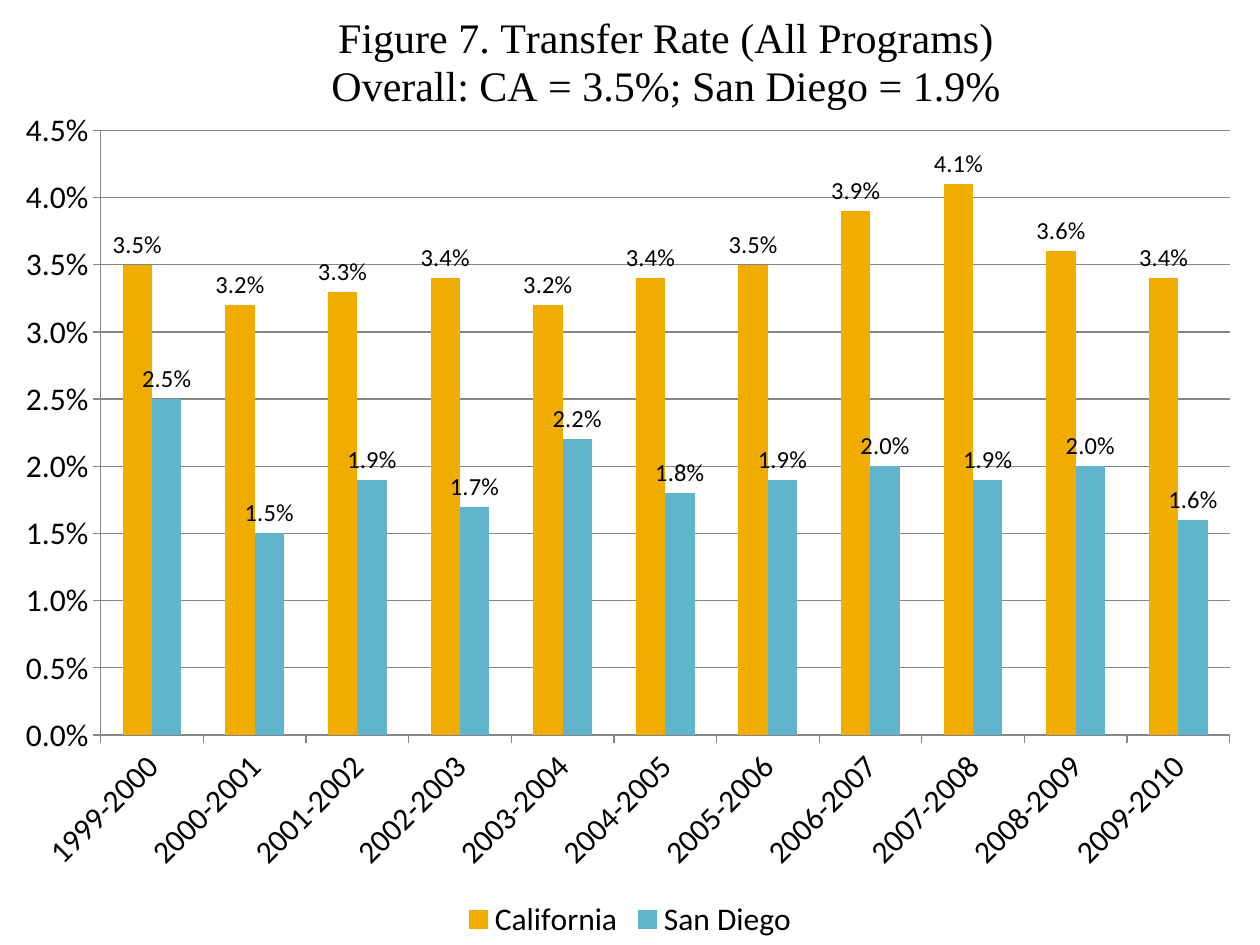
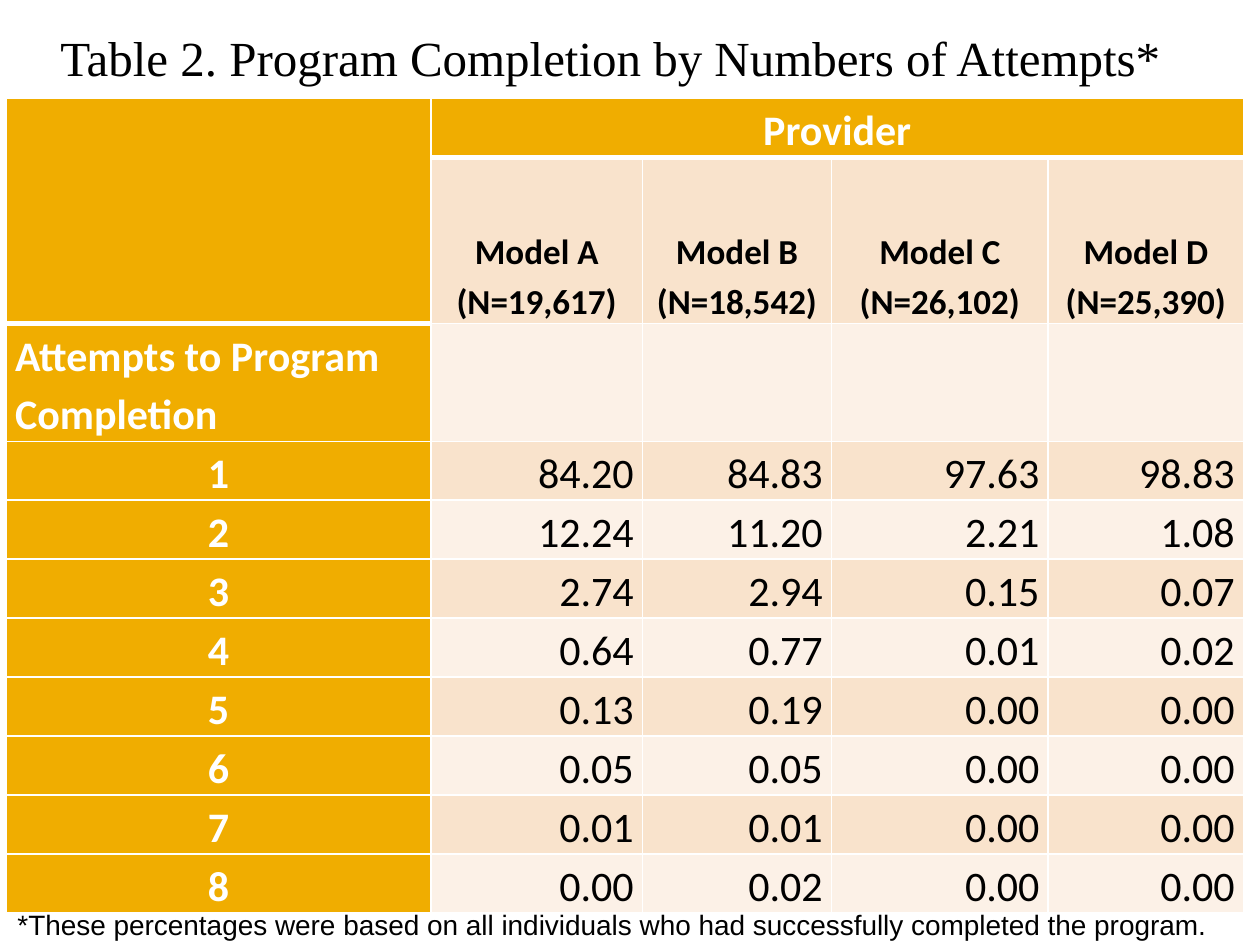
from dataclasses import dataclass

from lxml import etree
from pptx import Presentation
from pptx.chart.data import CategoryChartData
from pptx.dml.color import RGBColor
from pptx.enum.chart import XL_CHART_TYPE, XL_LABEL_POSITION, XL_LEGEND_POSITION, XL_TICK_MARK
from pptx.enum.text import MSO_ANCHOR, MSO_AUTO_SIZE, PP_ALIGN
from pptx.oxml.ns import qn
from pptx.util import Inches, Pt

CLUSTERED = XL_CHART_TYPE.COLUMN_CLUSTERED
OUTSIDE_END = XL_LABEL_POSITION.OUTSIDE_END
LEGEND_BOTTOM = XL_LEGEND_POSITION.BOTTOM
TICK_OUTSIDE = XL_TICK_MARK.OUTSIDE
TOP, MIDDLE, BOTTOM = MSO_ANCHOR.TOP, MSO_ANCHOR.MIDDLE, MSO_ANCHOR.BOTTOM
LEFT, CENTER, RIGHT = PP_ALIGN.LEFT, PP_ALIGN.CENTER, PP_ALIGN.RIGHT
FIT_SHAPE = MSO_AUTO_SIZE.SHAPE_TO_FIT_TEXT


@dataclass(frozen=True)
class Theme:
    gold: str = "F0AD00"
    blue: str = "60B5CC"
    band_dark: str = "F9E3CC"
    band_light: str = "FCF1E7"
    black: str = "000000"
    white: str = "FFFFFF"
    grid: str = "868686"
    title_font: str = "Times New Roman"
    body_font: str = "Calibri"
    note_font: str = "Arial"
    title_size: int = 28
    chart_title_size: int = 24
    table_size: int = 24
    model_size: int = 20
    chart_size: int = 18
    note_size: int = 16
    label_size: int = 14


YEARS = [f"{year}-{year + 1}" for year in range(1999, 2010)]
CALIFORNIA = [0.035, 0.032, 0.033, 0.034, 0.032, 0.034, 0.035, 0.039, 0.041, 0.036, 0.034]
SAN_DIEGO = [0.025, 0.015, 0.019, 0.017, 0.022, 0.018, 0.019, 0.02, 0.019, 0.02, 0.016]

MODELS = ["Model A\n(N=19,617)", "Model B\n(N=18,542)", "Model C\n(N=26,102)", "Model D\n(N=25,390)"]
COMPLETION = [
    ("84.20", "84.83", "97.63", "98.83"),
    ("12.24", "11.20", "2.21", "1.08"),
    ("2.74", "2.94", "0.15", "0.07"),
    ("0.64", "0.77", "0.01", "0.02"),
    ("0.13", "0.19", "0.00", "0.00"),
    ("0.05", "0.05", "0.00", "0.00"),
    ("0.01", "0.01", "0.00", "0.00"),
    ("0.00", "0.02", "0.00", "0.00"),
]
COLUMN_WIDTHS = [3.37, 1.68, 1.5, 1.72, 1.55]
ROW_HEIGHTS = [0.46, 1.32, 0.92] + [0.46] * len(COMPLETION)


def set_font(font, name, size, color, bold=False):
    font.name, font.size, font.bold = name, Pt(size), bold
    font.color.rgb = RGBColor.from_string(color)


def set_layout(parent, index, **settings):
    """Give a chart part a manual layout, in fractions of the chart."""
    for old in parent.findall(qn("c:layout")):
        parent.remove(old)
    layout = etree.Element(qn("c:layout"))
    manual = etree.SubElement(layout, qn("c:manualLayout"))
    for tag, value in settings.items():
        etree.SubElement(manual, qn(f"c:{tag}")).set("val", str(value))
    parent.insert(index, layout)


def set_borders(cell, color, bottom_width):
    properties = cell._tc.get_or_add_tcPr()
    widths = {"lnL": 1, "lnR": 1, "lnT": 1, "lnB": bottom_width}
    for index, (tag, width) in enumerate(widths.items()):
        line = etree.Element(qn(f"a:{tag}"), w=str(Pt(width)))
        fill = etree.SubElement(line, qn("a:solidFill"))
        etree.SubElement(fill, qn("a:srgbClr")).set("val", color)
        properties.insert(index, line)


class Deck:
    def __init__(self, theme):
        self.theme = theme
        self.presentation = Presentation()
        self.presentation.slide_width = Inches(10)
        self.presentation.slide_height = Inches(7.5)
        self.slide = None

    def add_slide(self):
        self.slide = self.presentation.slides.add_slide(self.presentation.slide_layouts[6])

    def add_text(self, text, left, top, width, height, font, size, anchor=TOP, wrap=True):
        box = self.slide.shapes.add_textbox(Inches(left), Inches(top), Inches(width), Inches(height))
        frame = box.text_frame
        frame.text = text
        frame.word_wrap, frame.auto_size, frame.vertical_anchor = wrap, FIT_SHAPE, anchor
        set_font(frame.paragraphs[0].font, font, size, self.theme.black)

    def add_column_chart(self, title, categories, series):
        """Fill the slide with a chart; series holds (name, values, color, label format)."""
        theme = self.theme
        data = CategoryChartData(number_format="0.0%")
        data.categories = categories
        for name, values, _, _ in series:
            data.add_series(name, values)
        chart = self.slide.shapes.add_chart(
            CLUSTERED, 0, 0, self.presentation.slide_width, self.presentation.slide_height, data
        ).chart
        set_font(chart.font, theme.body_font, theme.chart_size, theme.black)

        chart.chart_title.text_frame.text = title
        for paragraph in chart.chart_title.text_frame.paragraphs:
            paragraph.alignment = CENTER
            set_font(paragraph.font, theme.title_font, theme.chart_title_size, theme.black)
        set_layout(chart.chart_title._element, 1, xMode="edge", yMode="edge", x=0.26, y=0.01)

        chart.has_legend = True
        chart.legend.position = LEGEND_BOTTOM
        chart.legend.include_in_layout = False

        plot = chart.plots[0]
        plot.gap_width, plot.overlap, plot.vary_by_categories = 150, 0, False
        set_layout(chart._chartSpace.chart.plotArea, 0, layoutTarget="inner", xMode="edge",
                   yMode="edge", x=0.08, y=0.138, w=0.896, h=0.64)
        for column, (_, _, color, label_format) in zip(plot.series, series):
            column.format.fill.solid()
            column.format.fill.fore_color.rgb = RGBColor.from_string(color)
            labels = column.data_labels
            labels.show_value, labels.position = True, OUTSIDE_END
            labels.number_format, labels.number_format_is_linked = label_format, False
            set_font(labels.font, theme.body_font, theme.label_size, theme.black)
        self.style_axes(chart)

    def style_axes(self, chart):
        category_axis, value_axis = chart.category_axis, chart.value_axis
        value_axis.minimum_scale, value_axis.maximum_scale = 0, 0.045
        value_axis.major_unit = 0.005
        value_axis.has_major_gridlines = True
        value_axis.tick_labels.number_format = "0.0%"
        value_axis.tick_labels.number_format_is_linked = False
        for axis in (category_axis, value_axis):
            axis.major_tick_mark = TICK_OUTSIDE
            set_font(axis.tick_labels.font, self.theme.body_font, self.theme.chart_size, self.theme.black)
        for item in (category_axis, value_axis, value_axis.major_gridlines):
            item.format.line.color.rgb = RGBColor.from_string(self.theme.grid)
            item.format.line.width = Pt(0.75)
        category_axis._element.find(qn("c:txPr")).find(qn("a:bodyPr")).set("rot", "-2700000")

    def add_table(self, left, top, column_widths, row_heights):
        """Add a table with plain banded rows, a gold first row and a gold first column."""
        theme = self.theme
        table = self.slide.shapes.add_table(
            len(row_heights), len(column_widths), Inches(left), Inches(top),
            Inches(sum(column_widths)), Inches(sum(row_heights))
        ).table
        table.first_row = table.horz_banding = False
        for column, width in zip(table.columns, column_widths):
            column.width = Inches(width)
        for row_index, height in enumerate(row_heights):
            table.rows[row_index].height = Inches(height)
            band = theme.band_dark if row_index % 2 else theme.band_light
            for column_index, cell in enumerate(table.rows[row_index].cells):
                is_header = row_index == 0 or column_index == 0
                cell.fill.solid()
                cell.fill.fore_color.rgb = RGBColor.from_string(theme.gold if is_header else band)
                set_borders(cell, theme.white, 3 if row_index == 0 else 1)
                cell.margin_left = cell.margin_right = Inches(0.07)
                cell.margin_top = cell.margin_bottom = 0
        return table

    def fill_cell(self, cell, text, color, size, bold=True, align=CENTER, anchor=BOTTOM):
        cell.text = text
        cell.vertical_anchor = anchor
        for paragraph in cell.text_frame.paragraphs:
            paragraph.alignment, paragraph.line_spacing = align, 1.15
            set_font(paragraph.font, self.theme.body_font, size, color, bold)


def add_transfer_slide(deck):
    deck.add_slide()
    deck.add_column_chart(
        "Figure 7. Transfer Rate (All Programs)\nOverall: CA = 3.5%; San Diego = 1.9%",
        YEARS,
        [("California", CALIFORNIA, deck.theme.gold, "0.0%"),
         ("San Diego", SAN_DIEGO, deck.theme.blue, "###0.0%")],
    )


def add_completion_slide(deck):
    theme = deck.theme
    deck.add_slide()
    table = deck.add_table(0.05, 0.78, COLUMN_WIDTHS, ROW_HEIGHTS)
    table.cell(0, 0).merge(table.cell(1, 0))
    table.cell(0, 1).merge(table.cell(0, 4))
    deck.fill_cell(table.cell(0, 1), "Provider", theme.white, theme.table_size)
    for column, model in enumerate(MODELS, 1):
        deck.fill_cell(table.cell(1, column), model, theme.black, theme.model_size)
    deck.fill_cell(table.cell(2, 0), "Attempts to Program Completion", theme.white,
                   theme.table_size, align=LEFT, anchor=TOP)
    for attempt, percentages in enumerate(COMPLETION, 1):
        row = attempt + 2
        deck.fill_cell(table.cell(row, 0), str(attempt), theme.white, theme.table_size, anchor=TOP)
        for column, percentage in enumerate(percentages, 1):
            deck.fill_cell(table.cell(row, column), percentage, theme.black,
                           theme.table_size, bold=False, align=RIGHT)
    deck.add_text("Table 2. Program Completion by Numbers of Attempts*",
                  0.38, 0.17, 9.08, 0.57, theme.title_font, theme.title_size)
    deck.add_text("*These percentages were based on all individuals who had successfully "
                  "completed the program.",
                  0.04, 7.15, 9.75, 0.37, theme.note_font, theme.note_size, MIDDLE, wrap=False)


def main():
    deck = Deck(Theme())
    add_transfer_slide(deck)
    add_completion_slide(deck)
    deck.presentation.save("out.pptx")


if __name__ == "__main__":
    main()
